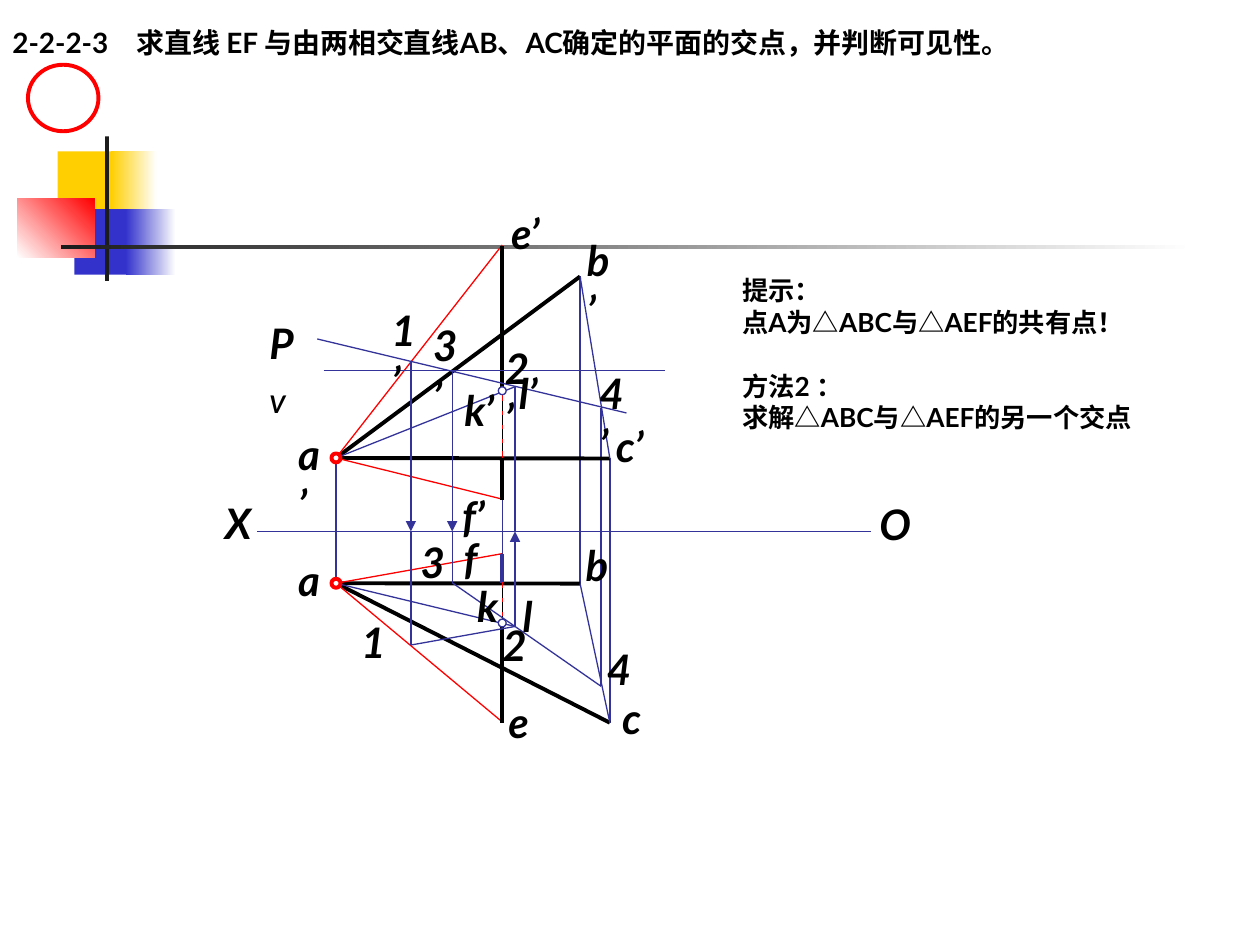
from lxml import etree
from pptx import Presentation
from pptx.dml.color import RGBColor
from pptx.enum.dml import MSO_LINE
from pptx.enum.shapes import MSO_CONNECTOR, MSO_SHAPE
from pptx.enum.text import MSO_ANCHOR, PP_ALIGN
from pptx.oxml.ns import qn
from pptx.util import Pt

STRAIGHT = MSO_CONNECTOR.STRAIGHT
RECTANGLE, OVAL = MSO_SHAPE.RECTANGLE, MSO_SHAPE.OVAL
LONG_DASH = MSO_LINE.LONG_DASH
TOP, LEFT = MSO_ANCHOR.TOP, PP_ALIGN.LEFT

COLOURS = {
    "black": "000000", "white": "FFFFFF", "red": "FF0000", "navy": "333399",
    "blue": "3333CC", "gold": "FFCF01", "charcoal": "1C1C1C",
}
THIN, THICK = 0.75, 2.25


def rgb(name):
    return RGBColor.from_string(COLOURS[name])


def write(paragraph, text, size=24, bold=True, italic=False, font="Lato", baseline=None):
    run = paragraph.add_run()
    run.text = text
    run.font.size, run.font.name = Pt(size), font
    run.font.bold, run.font.italic = bold, italic
    run.font.color.rgb = rgb("black")
    if baseline is not None:
        run.font._element.set("baseline", str(baseline))


class Drawing:
    """Draws the styled elements of a projection diagram on one slide."""

    def __init__(self, slide):
        self.shapes = slide.shapes

    def outline(self, line, colour, width):
        line.color.rgb = rgb(colour)
        line.width = Pt(width)

    def shape(self, kind, box, fill=None, fade=None, angle=0, edge=None, width=THIN):
        shape = self.shapes.add_shape(kind, *map(Pt, box))
        shape.shadow.inherit = False
        if fade:
            shape.fill.gradient()
            shape.fill.gradient_angle = angle
            for stop, colour in zip(shape.fill.gradient_stops, (fill, fade)):
                stop.color.rgb = rgb(colour)
        elif fill:
            shape.fill.solid()
            shape.fill.fore_color.rgb = rgb(fill)
        else:
            shape.fill.background()
        if edge:
            self.outline(shape.line, edge, width)
        else:
            shape.line.fill.background()
        return shape

    def point(self, centre, diameter, edge, width):
        x, y = centre
        box = (x - diameter / 2, y - diameter / 2, diameter, diameter)
        self.shape(OVAL, box, "white", edge=edge, width=width)

    def line(self, start, end, colour="navy", width=THIN, dash=None, arrow=False):
        line = self.shapes.add_connector(STRAIGHT, *map(Pt, (*start, *end)))
        self.outline(line.line, colour, width)
        if dash:
            line.line.dash_style = dash
        properties = line._element.spPr
        if arrow:
            etree.SubElement(properties.find(qn("a:ln")), qn("a:tailEnd"), type="triangle")
        etree.SubElement(properties, qn("a:effectLst"))

    def angle(self, start, vertex, end):
        builder = self.shapes.build_freeform(*map(Pt, start))
        builder.add_line_segments([tuple(map(Pt, spot)) for spot in (vertex, end)], close=False)
        rays = builder.convert_to_shape()
        rays.shadow.inherit = False
        rays.fill.background()
        self.outline(rays.line, "black", THICK)

    def label(self, text, left, top, width=44, height=36, subscript="", **style):
        frame = self.shapes.add_textbox(*map(Pt, (left, top, width, height))).text_frame
        frame.word_wrap = True
        write(frame.paragraphs[0], text, **style)
        if subscript:
            write(frame.paragraphs[0], subscript, baseline=-10000, **style)

    def note(self, top, lines):
        frame = self.shape(RECTANGLE, (417, top, 303, 44), "white").text_frame
        frame.word_wrap, frame.vertical_anchor = True, TOP
        for number, text in enumerate(lines):
            paragraph = frame.add_paragraph() if number else frame.paragraphs[0]
            paragraph.alignment = LEFT
            write(paragraph, text, size=15)


def draw_ornament(drawing):
    for box, *fill in (
        ((33, 86.5, 34.5, 37.5), "gold"),
        ((63.5, 86.5, 26, 37.5), "gold", "white"),
        ((42.5, 119.5, 33, 37.5), "blue"),
        ((72, 119.5, 28.5, 37.5), "blue", "white"),
        ((10, 113.5, 44, 33.5), "white", "red", 45),
        ((60, 78, 2.3, 82.5), "charcoal"),
        ((34.8, 140, 648, 2.5), "charcoal", "white"),
    ):
        drawing.shape(RECTANGLE, box, *fill)


def draw_projection(drawing):
    axis = 303.7
    columns = {"a": 192, "b": 331.5, "c": 348.5, "e": 287, "f": 287, "k": 287,
               "l": 294.3, "1": 234.8, "3": 258.4, "4": 343.5}
    front_heights = {"a": 261.7, "b": 158, "c": 262, "e": 140, "f": 285.2, "k": 223.3,
                     "l": 221, "1": 206.6, "3": 212.4, "4": 233.3}
    plan_heights = {"a": 333.3, "b": 333.5, "c": 413, "e": 412.5, "f": 316.4, "k": 356,
                    "l": 358, "1": 368.6, "3": 333, "4": 392.2}
    front = {name: (x, front_heights[name]) for name, x in columns.items()}
    plan = {name: (x, plan_heights[name]) for name, x in columns.items()}
    foot = {name: (x, axis) for name, x in columns.items()}

    drawing.line((147, axis), (498, axis))
    drawing.line(plan["a"], front["a"])
    for name in "bcf4":
        drawing.line(plan[name], front[name])
    for view in (front, plan):
        drawing.angle(view["b"], view["a"], view["c"])
        for end in "ef":
            drawing.line(view["a"], view[end], "red")
        drawing.line(view["b"], view["c"])
        drawing.line(view["a"], view["l"])

    x = columns["k"]
    for top, bottom, colour, width, dash in (
        (140.3, 190, "black", THICK, None),
        (262.7, 285.8, "black", THICK, None),
        (316.7, 333.4, "navy", THICK, None),
        (383, 413, "black", THICK, None),
        (332.8, 382.3, "red", THIN, None),
        (189.5, 261.5, "red", THIN, None),
        (355, 383, "black", THICK, None),
        (336, 354.3, "black", THIN, LONG_DASH),
        (190, 222.5, "black", THICK, None),
        (229, 258, "black", THIN, LONG_DASH),
    ):
        drawing.line((x, top), (x, bottom), colour, width, dash)

    drawing.line((185, 211.7), (380, 211.7))
    drawing.line((358, 236), (181.3, 193.7))
    drawing.line(plan["3"], plan["4"])
    drawing.line(plan["l"], plan["1"])
    for name in "13":
        drawing.line(front[name], foot[name], arrow=True)
        drawing.line(foot[name], plan[name])
    drawing.line(plan["l"], foot["l"], arrow=True)
    drawing.line(foot["l"], front["l"])
    for view in (front, plan):
        drawing.point(view["k"], 4.5, "navy", THIN)
        drawing.point(view["a"], 5.2, "red", THICK)


def draw_labels(drawing):
    for text, left, top in (
        ("e’", 285, 115.2), ("f’", 257, 276.5), ("k’", 258.3, 216), ("l’", 289.4, 206.6),
        ("X", 121.5, 280.8), ("O", 495.4, 281.5), ("a", 163.3, 313.2), ("f", 257.8, 301),
        ("e", 283.5, 394.6), ("b", 327.6, 304.6), ("c", 348.5, 392.4), ("4", 339.8, 364.3),
        ("3", 233.3, 303.1), ("l", 291.6, 334), ("1", 199.5, 348.5), ("k", 265.6, 328.3),
        ("2", 280, 350.6),
    ):
        drawing.label(text, left, top, italic=True)
    for text, left, top in (
        ("a’", 163.3, 241.2), ("b’", 328.3, 130.3), ("c’", 344.9, 236.9), ("1’", 216.7, 170.6),
        ("2’", 281.5, 192.2), ("3’", 240.5, 179.3), ("4’", 335.5, 206.6),
    ):
        drawing.label(text, left, top, width=30, italic=True)
    drawing.label("P", 146.9, 177.8, width=36, italic=True, subscript="V")


def main():
    deck = Presentation()
    deck.slide_width, deck.slide_height = Pt(720), Pt(540)
    drawing = Drawing(deck.slides.add_slide(deck.slide_layouts[6]))
    draw_ornament(drawing)
    draw_projection(drawing)
    draw_labels(drawing)
    drawing.note(208, ("方法2 ：", "求解△ABC与△AEF的另一个交点"))
    drawing.note(153.3, ("提示：", "点A为△ABC与△AEF的共有点！"))
    drawing.label("2-2-2-3　求直线 EF 与由两相交直线AB、AC确定的平面的交点，并判断可见性。",
                  0, 10.8, 720, 26.6, size=16)
    drawing.shape(OVAL, (16, 37, 40.3, 38), edge="red", width=THICK)
    deck.save("out.pptx")


if __name__ == "__main__":
    main()
